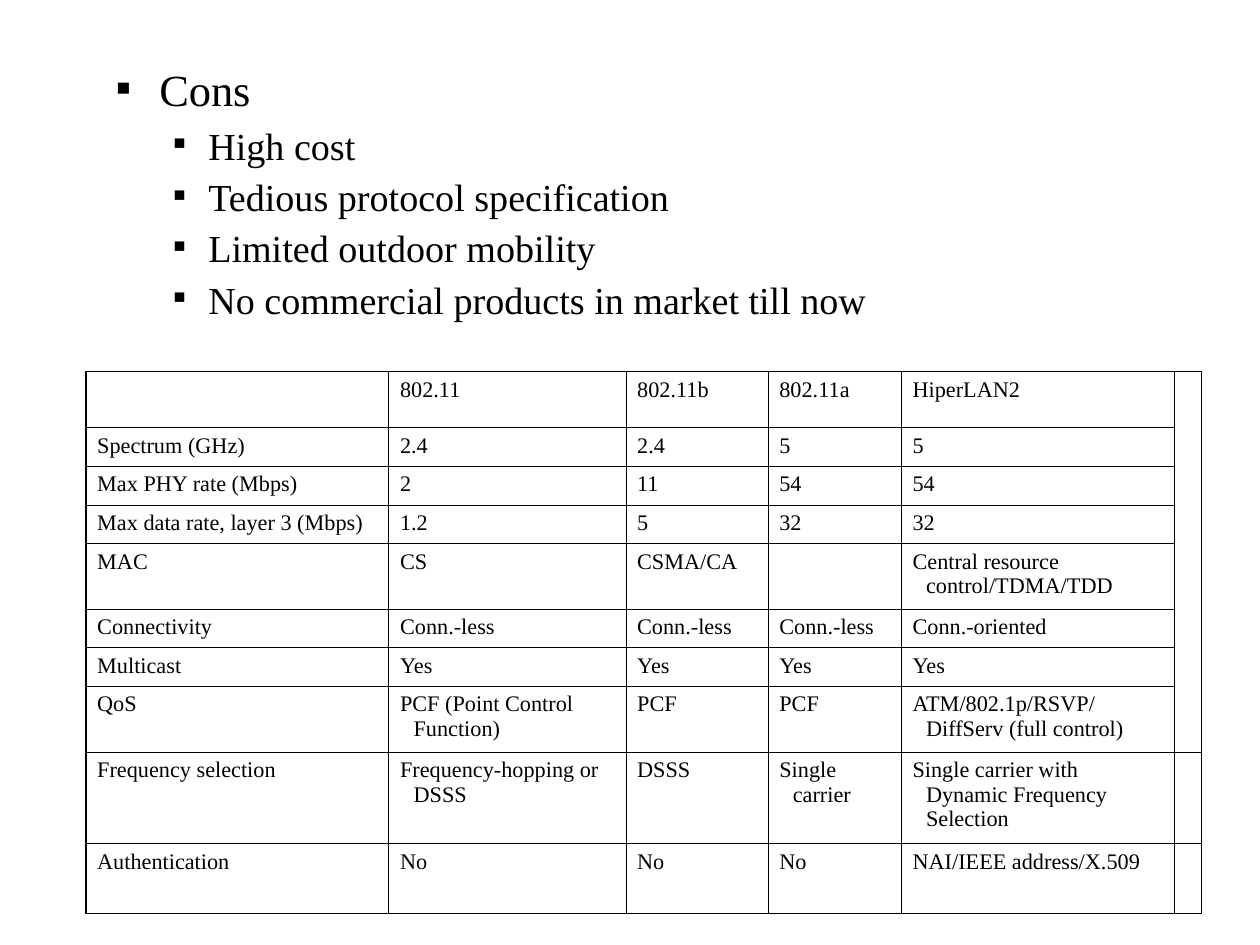
from lxml import etree
from pptx import Presentation
from pptx.dml.color import RGBColor
from pptx.oxml.ns import qn
from pptx.util import Cm, Pt

FONT = "Times New Roman"
INK = "000000"
THIN, THICK = Pt(0.45), Pt(1.08)

CONS = [
    "High cost",
    "Tedious protocol specification",
    "Limited outdoor mobility",
    "No commercial products in market till now",
]
COLUMN_WIDTHS = [6.73, 5.27, 3.16, 2.96, 6.07, 0.6]
ROW_HEIGHTS = [1.24, 0.86, 0.86, 0.86, 1.45, 0.86, 0.86, 1.46, 2.03, 1.55]
STANDARDS = [
    ["", "802.11", "802.11b", "802.11a", "HiperLAN2"],
    ["Spectrum (GHz)", "2.4", "2.4", "5", "5"],
    ["Max PHY rate (Mbps)", "2", "11", "54", "54"],
    ["Max data rate, layer 3 (Mbps)", "1.2", "5", "32", "32"],
    ["MAC", "CS", "CSMA/CA", "", "Central resource control/TDMA/TDD"],
    ["Connectivity", "Conn.-less", "Conn.-less", "Conn.-less", "Conn.-oriented"],
    ["Multicast", "Yes", "Yes", "Yes", "Yes"],
    ["QoS", "PCF (Point Control Function)", "PCF", "PCF",
     "ATM/802.1p/RSVP/DiffServ (full control)"],
    ["Frequency selection", "Frequency-hopping or DSSS", "DSSS", "Single carrier",
     "Single carrier with Dynamic Frequency Selection"],
    ["Authentication", "No", "No", "No", "NAI/IEEE address/X.509"],
]
MERGED_ROWS = 8


def color(value):
    return RGBColor.from_string(value)


def add_span(para, text, size):
    span = para.add_run()
    span.text = text
    span.font.name = FONT
    span.font.size = Pt(size)
    span.font.color.rgb = color(INK)


def set_indent(para, left, hanging):
    properties = para._p.get_or_add_pPr()
    properties.set("marL", str(Cm(left)))
    properties.set("indent", str(-Cm(hanging)))
    return properties


def add_bullet(para, left, hanging):
    properties = set_indent(para, left, hanging)
    bullet_color = etree.SubElement(properties, qn("a:buClr"))
    etree.SubElement(bullet_color, qn("a:srgbClr"), val=INK)
    etree.SubElement(properties, qn("a:buFont"), typeface=FONT)
    etree.SubElement(properties, qn("a:buChar"), char="▪")


def add_cons(page, left, top, width, height):
    box = page.shapes.add_textbox(Cm(left), Cm(top), Cm(width), Cm(height))
    frame = box.text_frame
    frame.word_wrap = True
    frame.margin_left = frame.margin_right = 0
    frame.margin_top = frame.margin_bottom = 0

    heading = frame.paragraphs[0]
    add_bullet(heading, 0.97, 0.97)
    heading.line_spacing = 0.8
    add_span(heading, "Cons", 28)

    for text in CONS:
        para = frame.add_paragraph()
        para.level = 1
        add_bullet(para, 2.06, 0.79)
        para.line_spacing = 0.6
        para.space_before = Pt(15)
        add_span(para, text, 24)


def set_borders(cell, widths):
    properties = cell._tc.get_or_add_tcPr()
    for side, width in zip(("L", "R", "T", "B"), widths):
        line = etree.SubElement(properties, qn("a:ln" + side), w=str(width))
        fill = etree.SubElement(line, qn("a:solidFill"))
        etree.SubElement(fill, qn("a:srgbClr"), val=INK)


def fill_cell(cell, text):
    cell.margin_left = cell.margin_right = Cm(0.25)
    cell.margin_top = cell.margin_bottom = Cm(0.13)
    para = cell.text_frame.paragraphs[0]
    set_indent(para, 0.3, 0.3)
    if text:
        add_span(para, text, 14)
    else:
        etree.SubElement(para._p, qn("a:endParaRPr"), sz="1400")


def add_standards(page, left, top):
    row_count, column_count = len(ROW_HEIGHTS), len(COLUMN_WIDTHS)
    table = page.shapes.add_table(
        row_count, column_count, Cm(left), Cm(top),
        Cm(sum(COLUMN_WIDTHS)), Cm(sum(ROW_HEIGHTS))).table
    table.first_row = table.horz_banding = False
    for column, width in zip(table.columns, COLUMN_WIDTHS):
        column.width = Cm(width)
    for row, height in zip(table.rows, ROW_HEIGHTS):
        row.height = Cm(height)

    last_row, last_column = row_count - 1, column_count - 1
    for r, texts in enumerate(STANDARDS):
        for c, text in enumerate(texts + [""]):
            cell = table.cell(r, c)
            fill_cell(cell, text)
            outer = (c == 0, c == last_column, r == 0, r == last_row)
            set_borders(cell, [THICK if edge else THIN for edge in outer])
            cell.fill.background()
    table.cell(0, last_column).merge(table.cell(MERGED_ROWS - 1, last_column))


def main():
    deck = Presentation()
    deck.slide_width, deck.slide_height = Cm(28), Cm(21)
    page = deck.slides.add_slide(deck.slide_layouts[6])
    add_cons(page, 2.57, 1.6, 23.8, 5.92)
    add_standards(page, 1.91, 8.26)
    deck.save("out.pptx")


if __name__ == "__main__":
    main()
